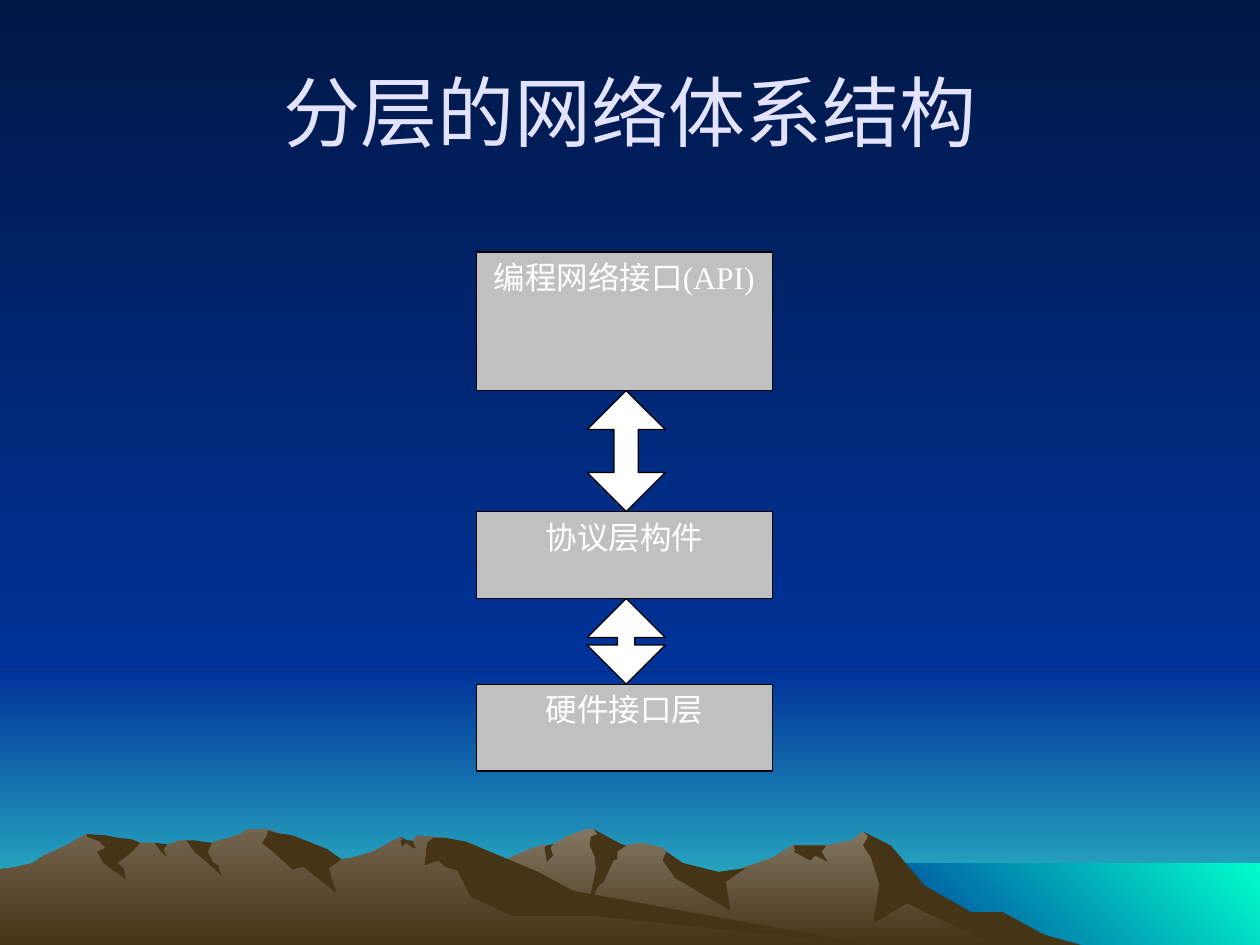
from pptx import Presentation
from pptx.dml.color import RGBColor
from pptx.enum.shapes import MSO_SHAPE
from pptx.enum.text import MSO_ANCHOR, PP_ALIGN
from pptx.util import Pt

PX = 9144
SLIDE_W, SLIDE_H = 1000, 750

NIGHT = RGBColor(0x00, 0x17, 0x46)
BLUE = RGBColor(0x00, 0x33, 0x99)
TEAL = RGBColor(0x33, 0xCC, 0xCC)
AQUA = RGBColor(0x00, 0xFF, 0xCC)
STONE = RGBColor(0x83, 0x77, 0x63)
EARTH = RGBColor(0x72, 0x64, 0x4E)
BROWN = RGBColor(0x46, 0x34, 0x16)
LAVENDER = RGBColor(0xE3, 0xE3, 0xFF)
SILVER = RGBColor(0xC0, 0xC0, 0xC0)
WHITE = RGBColor(0xFF, 0xFF, 0xFF)
BLACK = RGBColor(0x00, 0x00, 0x00)

TITLE = "分层的网络体系结构"
STACK = [
    ("编程网络接口(API)", 110),
    (None, 96),
    ("协议层构件", 69),
    (None, 68),
    ("硬件接口层", 69),
]
STACK_TOP = 200
LAYER_LEFT, LAYER_W = 378, 235
ARROW_LEFT, ARROW_W = 466, 62

HORIZON = 533
BACKDROP = [
    ((0, HORIZON, SLIDE_W, SLIDE_H - HORIZON), (BLUE, TEAL), 270),
    ((0, 0, SLIDE_W, HORIZON), (NIGHT, BLUE), 270),
    ((683, 685, 317, 65), (AQUA, BLUE), 225),
]

RIGHT_RANGE = [
    (802, 740), (778, 727), (764, 723), (723, 698), (702, 671), (685, 660),
    (676, 667), (656, 671), (629, 671), (613, 681), (566, 697), (536, 690),
    (529, 676), (526, 673), (509, 669), (497, 671), (486, 673), (474, 661),
    (471, 658), (465, 658), (450, 664), (438, 671), (430, 671), (418, 675),
    (405, 681), (394, 685), (355, 698), (327, 709), (277, 739), (258, 750),
    (821, 750),
]
RIGHT_SHADOWS = [
    [(796, 724), (771, 724), (734, 703), (707, 671), (685, 660), (689, 664),
     (685, 671), (691, 680), (698, 702), (693, 733), (720, 717), (788, 750),
     (858, 750), (829, 742)],
    [(471, 658), (474, 662), (469, 664), (468, 671), (472, 680), (473, 690),
     (465, 727), (474, 704), (479, 700), (487, 683), (490, 682), (490, 676),
     (497, 671), (493, 670)],
    [(529, 676), (528, 678), (526, 683), (536, 697), (580, 723), (576, 700),
     (592, 689), (570, 692), (542, 685)],
    [(650, 671), (630, 671), (631, 675), (630, 676), (643, 683), (647, 679),
     (657, 684), (652, 676), (656, 671)],
    [(433, 677), (432, 673), (434, 671), (439, 670), (437, 673), (439, 679),
     (434, 684)],
]
LEFT_RANGE = [
    (690, 750), (667, 748), (432, 712), (354, 665), (331, 663), (327, 668),
    (323, 668), (318, 664), (296, 676), (279, 681), (271, 682), (260, 676),
    (236, 681), (223, 663), (219, 660), (212, 658), (196, 658), (191, 662),
    (178, 666), (160, 671), (148, 667), (143, 667), (132, 671), (123, 669),
    (111, 669), (94, 671), (68, 662), (56, 669), (46, 674), (35, 679),
    (26, 685), (14, 688), (0, 690), (0, 750),
]
LEFT_SHADOWS = [
    [(212, 663), (208, 669), (219, 678), (232, 690), (241, 688), (267, 709),
     (261, 689), (271, 682), (260, 674), (245, 668), (232, 663), (219, 661),
     (213, 659)],
    [(370, 668), (354, 665), (344, 665), (339, 669), (337, 687), (348, 683),
     (353, 688), (363, 691), (374, 712), (407, 727), (472, 727), (690, 750),
     (455, 707), (427, 692), (401, 681)],
    [(318, 667), (320, 666), (318, 664), (323, 667), (327, 667), (330, 673),
     (328, 673), (322, 669), (319, 672)],
    [(154, 667), (168, 669), (165, 676), (169, 684), (173, 687), (176, 695),
     (165, 685), (154, 676), (148, 667)],
    [(133, 670), (130, 674), (132, 680), (127, 675), (123, 669)],
    [(109, 668), (111, 669), (105, 676), (93, 685), (98, 689), (100, 698),
     (82, 685), (77, 676), (84, 673), (79, 668), (69, 664), (69, 662),
     (84, 663), (94, 665), (104, 666)],
]
MOUNTAINS = [(RIGHT_RANGE, STONE, RIGHT_SHADOWS), (LEFT_RANGE, EARTH, LEFT_SHADOWS)]


def set_gradient(fill, colours, angle=270):
    fill.gradient()
    fill.gradient_angle = angle
    for stop, colour in zip(fill.gradient_stops, colours):
        stop.color.rgb = colour


def set_solid(fill, colour):
    fill.solid()
    fill.fore_color.rgb = colour


def add_outline(shapes, points):
    builder = shapes.build_freeform(*points[0], scale=PX)
    builder.add_line_segments(points[1:], close=True)
    outline = builder.convert_to_shape()
    outline.shadow.inherit = False
    outline.line.fill.background()
    return outline


def add_preset(shapes, kind, box):
    preset = shapes.add_shape(kind, *(n * PX for n in box))
    preset.shadow.inherit = False
    return preset


def write(frame, text, *, size, font, colour, anchor=MSO_ANCHOR.TOP):
    frame.word_wrap = True
    frame.vertical_anchor = anchor
    paragraph = frame.paragraphs[0]
    paragraph.alignment = PP_ALIGN.CENTER
    run = paragraph.add_run()
    run.text = text
    run.font.size = Pt(size)
    run.font.name = font
    run.font.color.rgb = colour


def draw_scenery(slide):
    set_gradient(slide.background.fill, (NIGHT, BLUE))
    for box, colours, angle in BACKDROP:
        band = add_preset(slide.shapes, MSO_SHAPE.RECTANGLE, box)
        band.line.fill.background()
        set_gradient(band.fill, colours, angle)
    for ridge, crest, shadows in MOUNTAINS:
        set_gradient(add_outline(slide.shapes, ridge).fill, (crest, BROWN))
        for shadow in shadows:
            set_solid(add_outline(slide.shapes, shadow).fill, BROWN)


def draw_stack(slide):
    top = STACK_TOP
    for label, height in STACK:
        if label:
            part = add_preset(slide.shapes, MSO_SHAPE.RECTANGLE,
                              (LAYER_LEFT, top, LAYER_W, height))
            write(part.text_frame, label, size=18, font="Times New Roman", colour=WHITE)
        else:
            part = add_preset(slide.shapes, MSO_SHAPE.UP_DOWN_ARROW,
                              (ARROW_LEFT, top, ARROW_W, height))
            part.adjustments[0] = 0.5
            part.adjustments[1] = height / 5 / ARROW_W
        set_solid(part.fill, SILVER if label else WHITE)
        part.line.color.rgb = BLACK
        part.line.width = Pt(0.75)
        top += height


def main():
    deck = Presentation()
    deck.slide_width, deck.slide_height = SLIDE_W * PX, SLIDE_H * PX
    slide = deck.slides.add_slide(deck.slide_layouts[6])
    draw_scenery(slide)
    title = slide.shapes.add_textbox(*(n * PX for n in (50, 25, 900, 125)))
    write(title.text_frame, TITLE, size=44, font="Arial", colour=LAVENDER,
          anchor=MSO_ANCHOR.MIDDLE)
    draw_stack(slide)
    deck.save("out.pptx")


if __name__ == "__main__":
    main()
